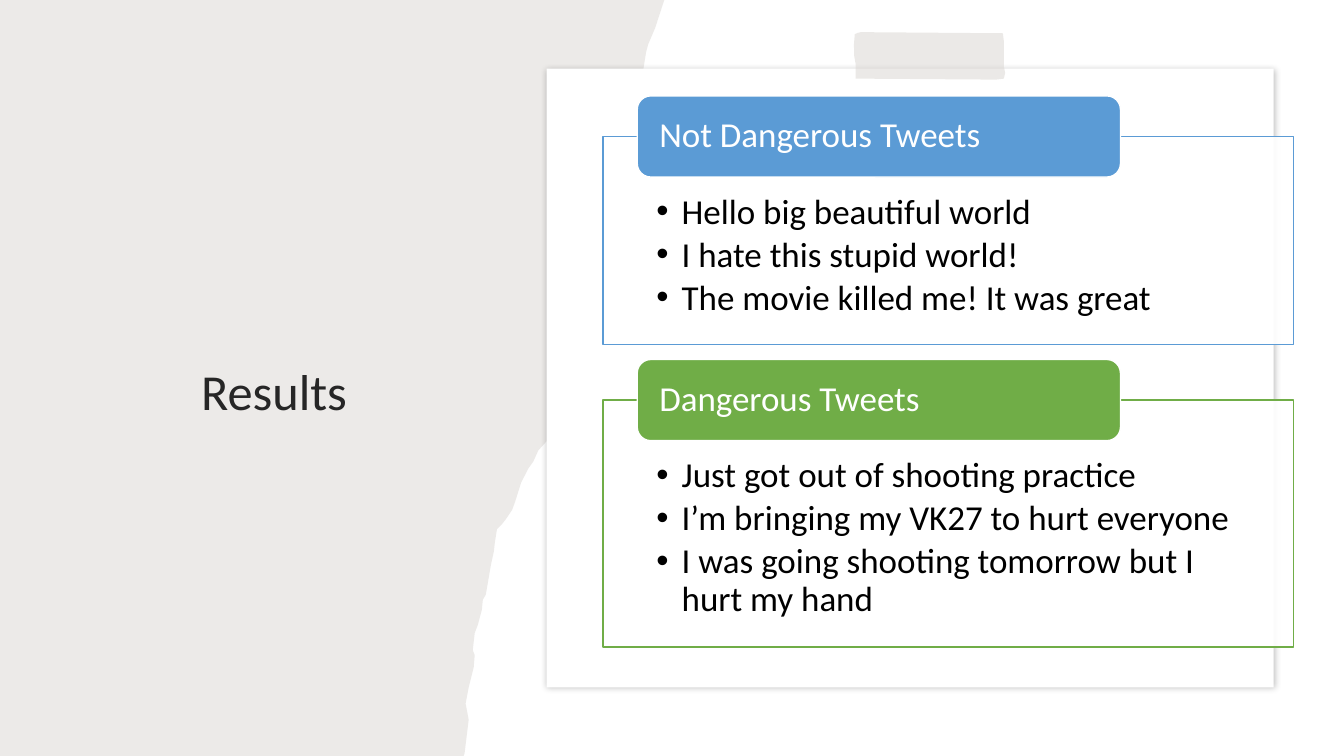
from dataclasses import dataclass

from lxml.etree import SubElement
from pptx import Presentation
from pptx.dml.color import RGBColor
from pptx.enum.shapes import MSO_SHAPE as Preset
from pptx.enum.text import MSO_ANCHOR as Anchor, PP_ALIGN as Align
from pptx.oxml.ns import qn
from pptx.util import Pt

WHITE = RGBColor(0xFF, 0xFF, 0xFF)
BLACK = RGBColor(0x00, 0x00, 0x00)
CHARCOAL = RGBColor(0x26, 0x26, 0x26)
TAUPE = RGBColor(0x82, 0x76, 0x6A)
TAPE = RGBColor(0xD9, 0xD4, 0xD0)
BLUE = RGBColor(0x5B, 0x9B, 0xD5)
GREEN = RGBColor(0x70, 0xAD, 0x47)

FONT = "Calibri"
SLIDE_WIDTH, SLIDE_HEIGHT = 960, 540
UNITS_PER_POINT = 100

TORN_EDGE = [
    (474.5, 0), (468, 20), (463, 31.7), (461.5, 37.4), (459.4, 50.4),
    (455.8, 59), (448.6, 71.3), (440, 88), (430.6, 105.8), (425.5, 123.1),
    (421.9, 151.2), (419.8, 190.8), (415.4, 223.9), (410.4, 244.1),
    (407.5, 254.2), (406.8, 268.6), (403.9, 273.6), (401, 293.8),
    (398.2, 303.1), (393.8, 311), (391, 314.6), (384.5, 321.8),
    (380.9, 329.8), (377.3, 334.8), (372.2, 344.9), (367.9, 358.6),
    (365.8, 364.3), (361.4, 370.8), (358.6, 374.4), (355, 378),
    (353.5, 387.4), (352.8, 393.8), (350.6, 403.9), (348.5, 416.2),
    (347, 424.8), (344.9, 428.4), (344.2, 435.6), (341.3, 446.4),
    (339.1, 452.2), (337.7, 464.4), (339.1, 468), (338.4, 476.6),
    (334.8, 491), (332.6, 502.6), (334.8, 514.1), (331.9, 537.8),
    (331.2, 540),
]
TAPE_OUTLINE = [
    (610.6, 24.5), (612.5, 23.6), (614.9, 23), (716.4, 23.8), (717.1, 29.5),
    (717.1, 47.5), (718, 52), (717.1, 56.2), (711.4, 56.9), (611.3, 56.2),
    (611.3, 46.1), (610.2, 40), (610, 32),
]


@dataclass
class Box:
    left: float
    top: float
    width: float
    height: float

    def lengths(self) -> list:
        return [Pt(value) for value in (self.left, self.top, self.width, self.height)]


@dataclass
class TweetGroup:
    heading: str
    tweets: list[str]
    color: RGBColor
    top: float
    height: float


GROUPS = [
    TweetGroup("Not Dangerous Tweets",
               ["Hello big beautiful world", "I hate this stupid world!",
                "The movie killed me! It was great"],
               BLUE, 97.5, 148.8),
    TweetGroup("Dangerous Tweets",
               ["Just got out of shooting practice",
                "I’m bringing my VK27 to hurt everyone",
                "I was going shooting tomorrow but I hurt my hand"],
               GREEN, 285.8, 176.4),
]


def paint(shape, fill: RGBColor, opacity: int = 100, line: RGBColor | None = None) -> None:
    """Set fill and line, with opacity in percent and no shadow."""
    shape.shadow.inherit = False
    shape.fill.solid()
    shape.fill.fore_color.rgb = fill
    if opacity < 100:
        color = shape._element.spPr.find(qn("a:solidFill"))[0]
        SubElement(color, qn("a:alpha"), val=str(opacity * 1000))
    if line is None:
        shape.line.fill.background()
    else:
        shape.line.color.rgb = line
        shape.line.width = Pt(1)


def add_outline(slide, points: list[tuple], fill: RGBColor, opacity: int) -> None:
    units = [(x * UNITS_PER_POINT, y * UNITS_PER_POINT) for x, y in points]
    builder = slide.shapes.build_freeform(*units[0], scale=Pt(1) / UNITS_PER_POINT)
    builder.add_line_segments(units[1:], close=True)
    paint(builder.convert_to_shape(), fill, opacity)


def add_soft_shadow(shape) -> None:
    effects = shape._element.spPr.find(qn("a:effectLst"))
    shadow = SubElement(effects, qn("a:outerShdw"), blurRad=str(Pt(4)),
                        dist=str(Pt(1)), dir=str(50 * 60000), rotWithShape="0")
    color = SubElement(shadow, qn("a:srgbClr"), val=str(BLACK))
    SubElement(color, qn("a:alpha"), val="24000")


def add_bullet(paragraph) -> None:
    paragraph.level = 1
    properties = paragraph._p.get_or_add_pPr()
    properties.set("marL", str(Pt(18)))
    properties.set("indent", str(-Pt(18)))
    SubElement(properties, qn("a:buFont"), typeface="Arial")
    SubElement(properties, qn("a:buChar"), char="•")


def write(shape, lines: list[str], size: float, color: RGBColor, anchor: Anchor,
          margins: tuple, align: Align = Align.LEFT, bulleted: bool = False) -> None:
    """Fill a shape with paragraphs; margins run left, top, right, bottom."""
    frame = shape.text_frame
    frame_format = {"word_wrap": True, "vertical_anchor": anchor}
    for side, margin in zip(("left", "top", "right", "bottom"), margins):
        frame_format[f"margin_{side}"] = Pt(margin)
    for name, value in frame_format.items():
        setattr(frame, name, value)

    paragraph_format = {"alignment": align, "line_spacing": 0.9,
                        "space_before": Pt(0),
                        "space_after": Pt(3.75 if bulleted else 0)}
    for index, line in enumerate(lines):
        paragraph = frame.add_paragraph() if index else frame.paragraphs[0]
        for name, value in paragraph_format.items():
            setattr(paragraph, name, value)
        if bulleted:
            add_bullet(paragraph)
        run = paragraph.add_run()
        run.text = line
        for name, value in {"name": FONT, "size": Pt(size)}.items():
            setattr(run.font, name, value)
        run.font.color.rgb = color


def add_group(slide, group: TweetGroup) -> None:
    panel = slide.shapes.add_shape(
        Preset.RECTANGLE, *Box(430.6, group.top, 493.2, group.height).lengths())
    paint(panel, WHITE, 90, group.color)
    write(panel, group.tweets, 25, BLACK, Anchor.TOP,
          (38.3, 41, 38.3, 13.7), bulleted=True)

    tab = slide.shapes.add_shape(
        Preset.ROUNDED_RECTANGLE, *Box(455.2, group.top - 29, 345.2, 58).lengths())
    paint(tab, group.color, line=WHITE)
    write(tab, [group.heading], 25, WHITE, Anchor.MIDDLE, (13, 0, 13, 0))


def main() -> None:
    presentation = Presentation()
    presentation.slide_width = Pt(SLIDE_WIDTH)
    presentation.slide_height = Pt(SLIDE_HEIGHT)
    slide = presentation.slides.add_slide(presentation.slide_layouts[6])

    # Torn paper and title
    add_outline(slide, [(0, 0), *TORN_EDGE, (0, SLIDE_HEIGHT)], TAUPE, 15)
    title = slide.shapes.add_textbox(*Box(62.6, 103.7, 266.4, 200.9).lengths())
    write(title, ["Results"], 36, CHARCOAL, Anchor.BOTTOM,
          (7.2, 3.6, 7.2, 3.6), Align.CENTER)

    # Card held by a strip of tape
    card = slide.shapes.add_shape(Preset.RECTANGLE, *Box(390.5, 49, 519.3, 442).lengths())
    paint(card, WHITE)
    add_soft_shadow(card)
    add_outline(slide, TAPE_OUTLINE, TAPE, 50)

    # Tweet groups
    for group in GROUPS:
        add_group(slide, group)

    presentation.save("out.pptx")


if __name__ == "__main__":
    main()
